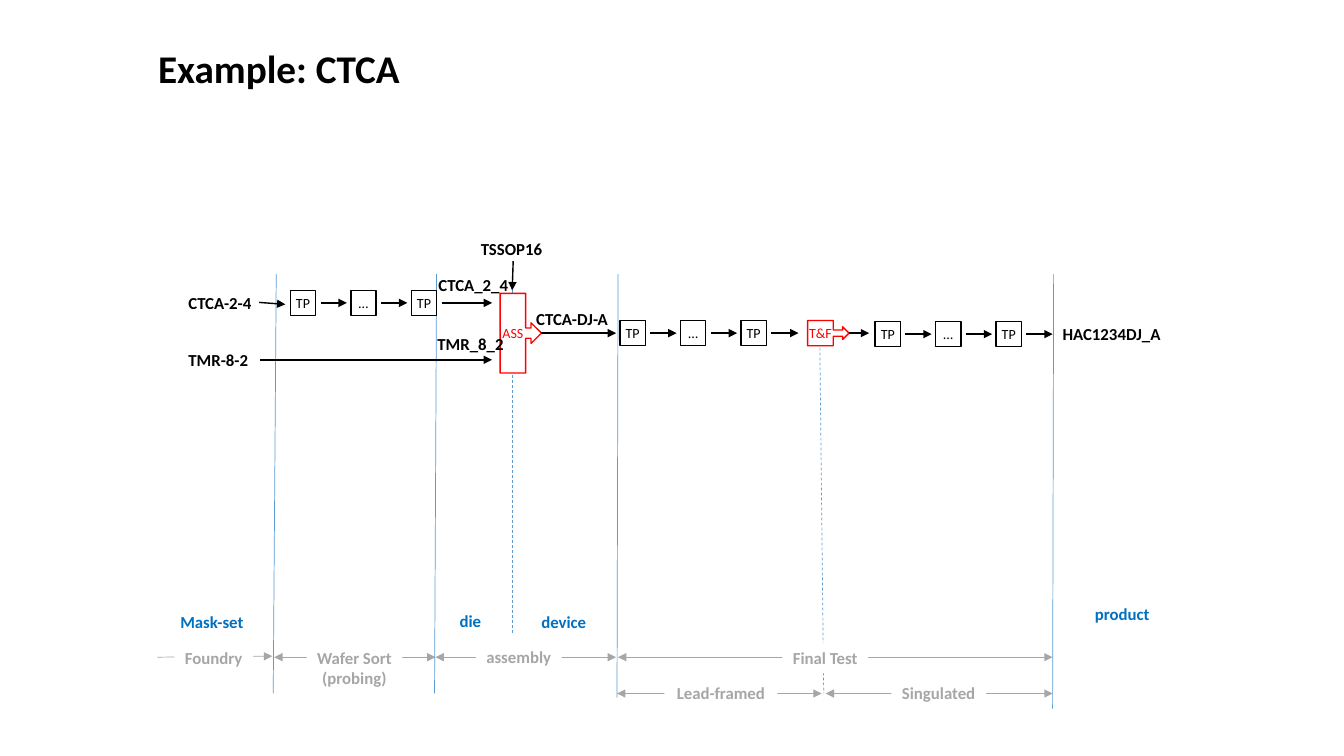
"""Build the CTCA process-flow slide on a grid of 1333 columns by 750 rows."""
from dataclasses import dataclass

from lxml.etree import SubElement
from pptx import Presentation
from pptx.dml.color import RGBColor
from pptx.enum.dml import MSO_LINE
from pptx.enum.shapes import MSO_CONNECTOR, MSO_SHAPE
from pptx.enum.text import MSO_ANCHOR, MSO_AUTO_SIZE, PP_ALIGN
from pptx.oxml.ns import qn
from pptx.util import Inches, Pt


@dataclass(frozen=True)
class Theme:
    font: str = "Calibri"
    ink: str = "000000"
    paper: str = "FFFFFF"
    stage: str = "A6A6A6"
    divider: str = "5B9BD5"
    kind: str = "0070C0"
    step: str = "FF0000"
    title_size: int = 28
    label_size: int = 12
    box_size: int = 10
    thin: float = 0.5
    thick: float = 1


T = Theme()
COLS, ROWS = 1333, 750
CELL = Inches(0.01)
BOX, PITCH, LABEL_H = 25, 60, 30
LABEL_ROW, STAGE_ROW, SUBSTAGE_ROW = 638, 652, 688

TITLE = ("Example: CTCA", 147, 39, 263, 57)
PARTS = [
    ("CTCA-2-4", 177, 286, 84), ("CTCA_2_4", 425, 268, 90),
    ("TMR-8-2", 177, 342, 80), ("TMR_8_2", 424, 326, 87),
    ("TSSOP16", 467, 232, 82), ("CTCA-DJ-A", 522, 301, 93),
    ("HAC1234DJ_A", 1044, 316, 119),
]
KINDS = [
    ("Mask-set", 169, 602, 84), ("die", 446, 601, 42),
    ("device", 527, 602, 65), ("product", 1076, 594, 75),
]
STAGES = [
    ("Foundry", 173, LABEL_ROW, 78, 30), ("Wafer Sort\n(probing)", 304, LABEL_ROW, 95, 50),
    ("assembly", 472, 637, 85, 30), ("Final Test", 776, LABEL_ROW, 85, 30),
    ("Lead-framed", 659, 672, 112, 30), ("Singulated", 884, 672, 94, 30),
]
SPANS = [
    (272, 432, STAGE_ROW), (432, 611, STAGE_ROW), (613, 1044, STAGE_ROW),
    (612, 815, SUBSTAGE_ROW), (819, 1044, SUBSTAGE_ROW),
]
DIVIDERS = [(274, 271, 688), (433, 431, 688), (613, 612, 692), (1045, 1044, 703)]
MILESTONES = [(508, 288, 508, 628), (813, 330, 817, 688)]
TEST_CHAINS = [(288, 288, 488), (615, 318, 792), (868, 319, 1044)]
STEPS = [("ASS", 496, 291, 79, 611), ("T&F", 801, 318, 25, 862)]
FEEDS = [(257, 300, 283, 302), (258, 357, 488, 357), (509, 259, 508, 288)]


def rgb(value):
    return RGBColor.from_string(value)


def cells(*counts):
    return [round(n * CELL) for n in counts]


def write(s, text, size=T.label_size, color=T.ink, bold=True, align=PP_ALIGN.LEFT):
    tf = s.text_frame
    tf.word_wrap = False
    p = tf.paragraphs[0]
    p.text = text
    p.alignment = align
    for r in p.runs:
        r.font.name, r.font.size, r.font.bold = T.font, Pt(size), bold
        r.font.color.rgb = rgb(color)
    return tf


def label(sl, text, x, y, w, h=LABEL_H, fill=None, **fmt):
    s = sl.shapes.add_textbox(*cells(x, y, w, h))
    if fill:
        s.fill.solid()
        s.fill.fore_color.rgb = rgb(fill)
    write(s, text, **fmt).auto_size = MSO_AUTO_SIZE.SHAPE_TO_FIT_TEXT


def box(sl, preset, text, x, y, w, h, color=T.ink, fill=None):
    s = sl.shapes.add_shape(preset, *cells(x, y, w, h))
    s.shadow.inherit = False
    if fill:
        s.fill.solid()
        s.fill.fore_color.rgb = rgb(fill)
    else:
        s.fill.background()
    s.line.color.rgb, s.line.width = rgb(color), Pt(T.thick)
    tf = write(s, text, size=T.box_size, color=color, bold=False, align=PP_ALIGN.CENTER)
    tf.margin_left = tf.margin_right = tf.margin_top = tf.margin_bottom = 0
    tf.vertical_anchor = MSO_ANCHOR.MIDDLE
    return s


def line(sl, x1, y1, x2, y2, color=T.ink, width=T.thick, ends=("tailEnd",), dash=None):
    c = sl.shapes.add_connector(MSO_CONNECTOR.STRAIGHT, *cells(x1, y1, x2, y2))
    c.line.color.rgb, c.line.width = rgb(color), Pt(width)
    if dash:
        c.line.dash_style = dash
    ln = c._element.spPr.find(qn("a:ln"))
    for end in ends:
        SubElement(ln, qn(f"a:{end}")).set("type", "triangle")
    SubElement(c._element.spPr, qn("a:effectLst"))
    return c


def chain(sl, x, y, end):
    mid = y + BOX / 2
    for i, text in enumerate(("TP", "…", "TP")):
        left = x + i * PITCH
        box(sl, MSO_SHAPE.RECTANGLE, text, left, y, BOX, BOX)
        line(sl, left + 30, mid, left + 56 if i < 2 else end, mid)


def step(sl, text, x, y, h, end):
    s = box(sl, MSO_SHAPE.RIGHT_ARROW_CALLOUT, text, x, y, 41, h, T.step, T.paper)
    for i, share in enumerate((0.25, 0.25, 0.25, 0.62)):
        s.adjustments[i] = share
    mid = y + h / 2
    line(sl, x + 41, mid, end, mid).begin_connect(s, 3)


def main():
    prs = Presentation()
    prs.slide_width, prs.slide_height = cells(COLS, ROWS)
    sl = prs.slides.add_slide(prs.slide_layouts[6])

    line(sl, 156, STAGE_ROW, 270, STAGE_ROW - 1, T.stage, T.thin)
    for x1, x2, y in SPANS:
        line(sl, x1, y, x2, y, T.stage, T.thin, ("headEnd", "tailEnd"))
    for top, bottom, y in DIVIDERS:
        line(sl, top, 272, bottom, y, T.divider, T.thin, ())
    for ends in MILESTONES:
        line(sl, *ends, T.divider, T.thin, (), MSO_LINE.DASH)
    for item in STAGES:
        label(sl, *item, fill=T.paper, color=T.stage, align=PP_ALIGN.CENTER)
    for item in STEPS:
        step(sl, *item)
    for item in TEST_CHAINS:
        chain(sl, *item)
    for ends in FEEDS:
        line(sl, *ends)
    for item in PARTS:
        label(sl, *item)
    for item in KINDS:
        label(sl, *item, color=T.kind)
    label(sl, *TITLE, size=T.title_size)
    prs.save("out.pptx")


if __name__ == "__main__":
    main()
